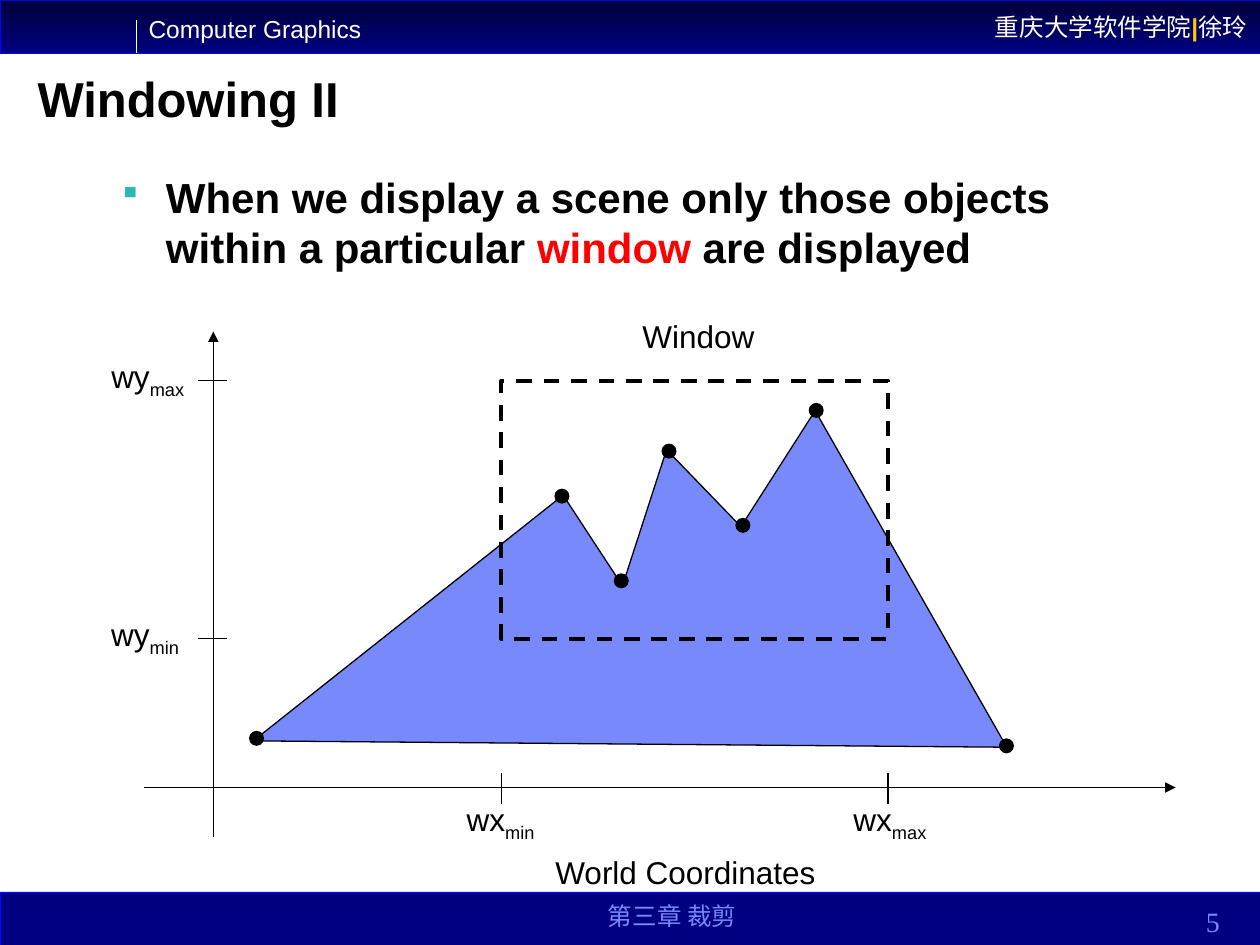
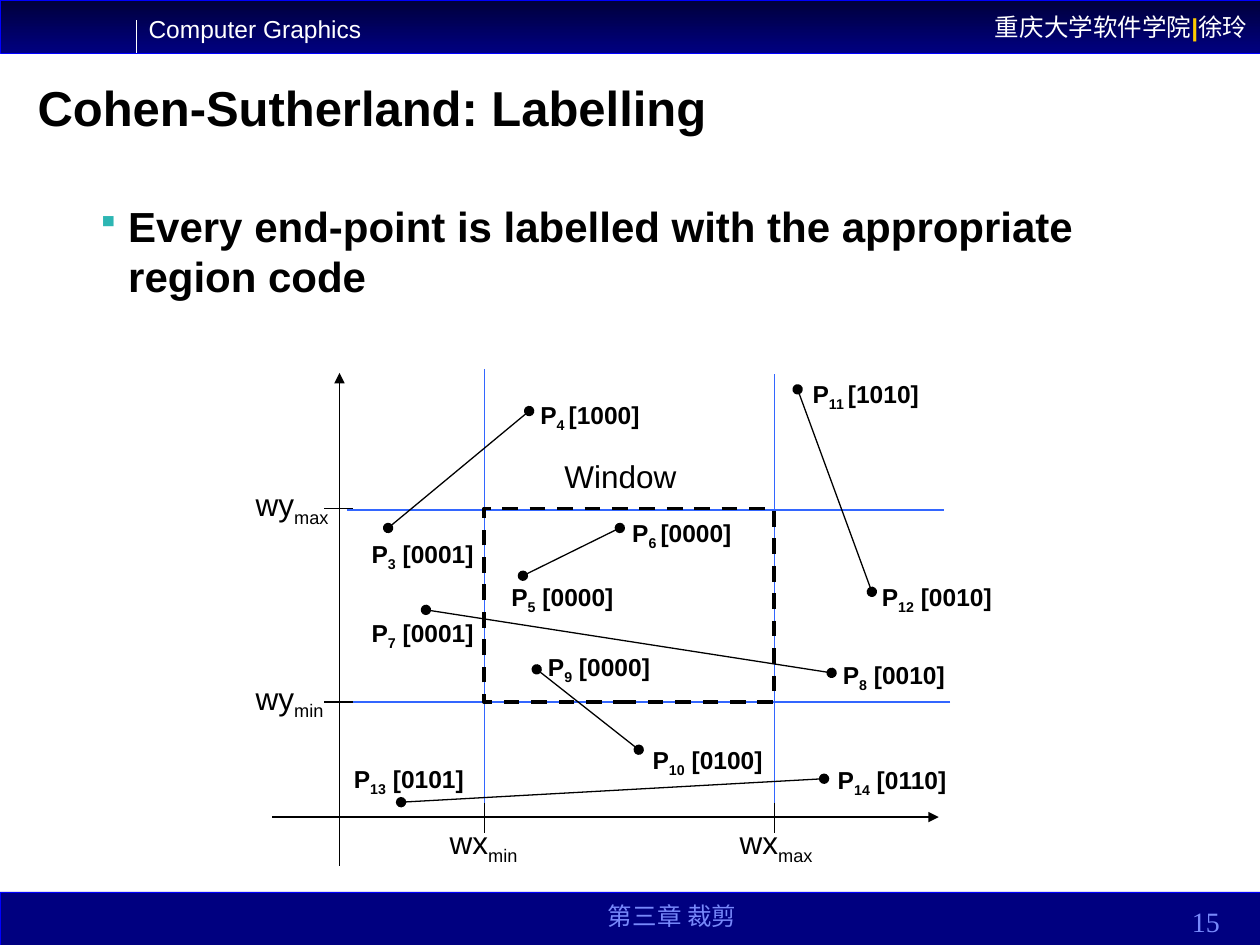
from lxml import etree
from pptx import Presentation
from pptx.dml.color import RGBColor
from pptx.enum.dml import MSO_LINE
from pptx.enum.shapes import MSO_CONNECTOR, MSO_SHAPE
from pptx.enum.text import MSO_ANCHOR, MSO_AUTO_SIZE, PP_ALIGN
from pptx.oxml.ns import qn
from pptx.util import Pt

RECTANGLE, OVAL = MSO_SHAPE.RECTANGLE, MSO_SHAPE.OVAL
STRAIGHT, DASH = MSO_CONNECTOR.STRAIGHT, MSO_LINE.DASH
LEFT, CENTER, RIGHT = PP_ALIGN.LEFT, PP_ALIGN.CENTER, PP_ALIGN.RIGHT
TOP, MIDDLE, BOTTOM = MSO_ANCHOR.TOP, MSO_ANCHOR.MIDDLE, MSO_ANCHOR.BOTTOM

SANS, SERIF = "Arial", "Times New Roman"
BLACK, WHITE, RED, YELLOW = "000000", "FFFFFF", "FF0000", "FFCC00"
NAVY, DARK_NAVY, BAND_EDGE = "000080", "00003B", "0000FF"
PERIWINKLE, GUIDE_BLUE, BULLET_TEAL = "7889FB", "3366FF", "2DB6B3"

SLIDE_WIDTH, SLIDE_HEIGHT, BAND_HEIGHT = 720, 540, 30.4
DOT_SIZE = 8.6

COURSE = "Computer Graphics"
AUTHOR = [("重庆大学软件学院", {}), ("|", {"color": YELLOW, "bold": True}), ("徐玲", {})]
CHAPTER = "第三章 裁剪"

WINDOWING = {
    "title": "Windowing II",
    "title_box": (14.4, 37.4, 649.4, 39.6),
    "body": [("When we display a scene only those objects within a particular ", {}),
             ("window", {"color": RED}), (" are displayed", {})],
    "body_box": (54, 94.3, 612, 72.7),
    "bullet_indent": (33.8, -27),
    "page": "5",
}
WINDOWING_AXES = {
    "x_axis": (82.1, 450, 671.8, 450),
    "y_axis": (121.9, 478.1, 121.9, 189.4),
    "window": (286.4, 217.6, 221, 147.4),
    "x_tick": (442, 459.4), "x_label_top": 453.6,
    "y_tick": (129.6, 113), "y_label_left": 56.5,
    "window_label": (360, 177.8),
}
# Each corner of the mountain, then the centre of its dot
MOUNTAIN = [
    ((144.7, 423.4), (146.6, 421.9)),
    ((321.8, 283), (321.1, 283.5)),
    ((355.7, 334.8), (355, 331.9)),
    ((380.9, 257), (382.3, 257.8)),
    ((423.4, 301), (424.5, 300.2)),
    ((465.8, 234.7), (466.4, 234.5)),
    ((575.3, 427), (575.1, 426.2)),
]

LABELLING = {
    "title": "Cohen-Sutherland: Labelling",
    "title_box": (14.4, 43.2, 649.4, 38.9),
    "body": [("Every end-point is labelled with the appropriate region code", {})],
    "body_box": (48.2, 110.9, 612, 79.2),
    "bullet_indent": (18, -19.5),
    "page": "15",
}
LABELLING_AXES = {
    "x_axis": (155.5, 466.9, 536.4, 466.9),
    "y_axis": (194, 494.6, 194, 213.1),
    "window": (276.7, 290.6, 165.7, 110.6),
    "x_tick": (458.6, 476), "x_label_top": 466.6,
    "y_tick": (201.6, 185), "y_label_left": 139,
    "window_label": (315.4, 257.8),
}
GUIDES = [(276.7, 211, 276.7, 460.8), (442.4, 213.8, 442.4, 463.7),
          (539.3, 291.4, 198, 291.4), (542.9, 401.2, 201.6, 401.2)]
# Each end-point: position, subscript, region code, label position
SEGMENTS = [
    (((298.8, 329), "5", " [0000]", (285.1, 329)),
     ((354.2, 301.7), "6 ", "[0000]", (354.2, 292.3))),
    (((221.8, 301.7), "3", " [0001]", (205.2, 304.6)),
     ((302.4, 234.9), "4 ", "[1000]", (301.7, 224.9))),
    (((306.7, 382.5), "9", " [0000]", (306, 368.9)),
     ((365, 428.4), "10", " [0100]", (365.8, 422.1))),
    (((243.4, 348.5), "7", " [0001]", (205.2, 349.5)),
     ((475.2, 384.5), "8", " [0010]", (474.5, 373.7))),
    (((498.2, 338.2), "12", " [0010]", (496.8, 329)),
     ((455.8, 222.5), "11 ", "[1010]", (457.2, 213.1))),
    (((229.2, 458.4), "13", " [0101]", (195.1, 433.2)),
     ((470.9, 445), "14", " [0110]", (471.6, 433.4))),
]


def rgb(color):
    return RGBColor.from_string(color)


def points(values):
    return [Pt(value) for value in values]


def fill_runs(paragraph, runs, size, font=SANS, color=WHITE, bold=False):
    """Add (text, overrides) runs; overrides may hold color, bold and subscript."""
    for text, style in runs:
        run = paragraph.add_run()
        run.text = text
        run.font.name = font
        run.font.size = Pt(size)
        run.font.bold = style.get("bold", bold)
        run.font.color.rgb = rgb(style.get("color", color))
        if style.get("subscript"):
            run.font._element.set("baseline", "-25000")


def add_text(slide, box, runs, size, align=LEFT, anchor=TOP, wrap=True, **style):
    """Add a one-paragraph text box and return the paragraph."""
    frame = slide.shapes.add_textbox(*points(box)).text_frame
    frame.word_wrap = wrap
    frame.auto_size = MSO_AUTO_SIZE.NONE if wrap else MSO_AUTO_SIZE.SHAPE_TO_FIT_TEXT
    frame.vertical_anchor = anchor
    paragraph = frame.paragraphs[0]
    paragraph.alignment = align
    fill_runs(paragraph, runs, size, **style)
    return paragraph


def add_label(slide, box, runs, size=18, bold=False):
    add_text(slide, box, runs, size, wrap=False, color=BLACK, bold=bold)


def add_figure(slide, kind, box, fill=None, line=None, width=0.75):
    shape = slide.shapes.add_shape(kind, *points(box))
    style_figure(shape, fill, line, width)
    return shape


def style_figure(shape, fill, line, width=0.75):
    shape.shadow.inherit = False
    if fill:
        shape.fill.solid()
        shape.fill.fore_color.rgb = rgb(fill)
    else:
        shape.fill.background()
    if line:
        shape.line.color.rgb = rgb(line)
        shape.line.width = Pt(width)
    else:
        shape.line.fill.background()


def add_line(slide, ends, color=BLACK, head=None, tail=None):
    connector = slide.shapes.add_connector(STRAIGHT, *points(ends))
    connector.line.color.rgb = rgb(color)
    connector.line.width = Pt(0.75)
    properties = connector._element.spPr
    etree.SubElement(properties, qn("a:effectLst"))
    for tag, kind in (("a:headEnd", head), ("a:tailEnd", tail)):
        if kind:
            etree.SubElement(properties.find(qn("a:ln")), qn(tag), type=kind)


def add_bands(slide, page):
    header = add_figure(slide, RECTANGLE, (0, 0, SLIDE_WIDTH, BAND_HEIGHT),
                        NAVY, BAND_EDGE, 0.25)
    header.fill.gradient()
    header.fill.gradient_angle = 270
    for stop, color in zip(header.fill.gradient_stops, (DARK_NAVY, NAVY)):
        stop.color.rgb = rgb(color)
    frame = header.text_frame
    frame.word_wrap = False
    frame.vertical_anchor = MIDDLE
    frame.paragraphs[0].alignment = RIGHT
    fill_runs(frame.paragraphs[0], AUTHOR, 14)

    add_figure(slide, RECTANGLE, (0, SLIDE_HEIGHT - BAND_HEIGHT, SLIDE_WIDTH, BAND_HEIGHT),
               NAVY, BAND_EDGE, 0.25)
    add_text(slide, (77.8, 4.3, 136, 24.5), [(COURSE, {})], 14, wrap=False)
    add_line(slide, (78, 11.5, 78, BAND_HEIGHT), WHITE)
    add_text(slide, (270, 508, 228.2, 27.4), [(CHAPTER, {})], 14, CENTER, BOTTOM,
             font=SERIF, color=PERIWINKLE)
    add_text(slide, (632.2, 512.3, 72, 27.4), [(page, {})], 16, RIGHT, BOTTOM,
             font=SERIF, color=PERIWINKLE)


def add_content_slide(presentation, content):
    slide = presentation.slides.add_slide(presentation.slide_layouts[6])
    add_bands(slide, content["page"])
    title = add_text(slide, content["title_box"], [(content["title"], {})], 28,
                     anchor=BOTTOM, color=BLACK, bold=True)
    title.line_spacing = 0.9

    body = add_text(slide, content["body_box"], content["body"], 24, color=BLACK, bold=True)
    properties = body._p.get_or_add_pPr()
    margin, indent = points(content["bullet_indent"])
    properties.set("marL", str(margin))
    properties.set("indent", str(indent))
    bullet_color = etree.SubElement(properties, qn("a:buClr"))
    etree.SubElement(bullet_color, qn("a:srgbClr"), val=BULLET_TEAL)
    etree.SubElement(properties, qn("a:buSzPct"), val="75000")
    etree.SubElement(properties, qn("a:buChar"), char="▪")
    return slide


def add_window_axes(slide, axes):
    """Draw both axes, the dashed clipping window, its ticks and the labels."""
    for name in ("x_axis", "y_axis"):
        add_line(slide, axes[name], tail="triangle")
    left, top, width, height = axes["window"]
    window = add_figure(slide, RECTANGLE, axes["window"], line=BLACK, width=2.25)
    window.line.dash_style = DASH

    limits = [("max", 56.2, left + width, top), ("min", 53.3, left, top + height)]
    for limit, label_width, x, y in limits:
        subscript = (limit, {"subscript": True})
        start, end = axes["y_tick"]
        add_line(slide, (start, y, end, y))
        add_label(slide, (axes["y_label_left"], y - 17, label_width, 31.7),
                  [("wy", {}), subscript])
        start, end = axes["x_tick"]
        add_line(slide, (x, start, x, end))
        add_label(slide, (x - 26.8, axes["x_label_top"], label_width, 31.7),
                  [("wx", {}), subscript])
    add_label(slide, (*axes["window_label"], 78.5, 28.8), [("Window", {})])


def add_mountain(slide):
    corners = [points(corner) for corner, _ in MOUNTAIN]
    builder = slide.shapes.build_freeform(*corners[0])
    builder.add_line_segments(corners[1:], close=True)
    style_figure(builder.convert_to_shape(), PERIWINKLE, BLACK)


def add_mountain_dots(slide):
    for _, (x, y) in MOUNTAIN:
        add_figure(slide, OVAL, (x - DOT_SIZE / 2, y - DOT_SIZE / 2, DOT_SIZE, DOT_SIZE), BLACK)


def add_segments(slide):
    for start, end in SEGMENTS:
        add_line(slide, (*start[0], *end[0]), head="oval", tail="oval")
        for _, number, code, position in (start, end):
            width = 79 if len(number.strip()) == 2 else 74
            add_label(slide, (*position, width, 26.6),
                      [("P", {}), (number, {"subscript": True}), (code, {})], 14, True)


def main():
    presentation = Presentation()
    presentation.slide_width = Pt(SLIDE_WIDTH)
    presentation.slide_height = Pt(SLIDE_HEIGHT)

    slide = add_content_slide(presentation, WINDOWING)
    add_mountain(slide)
    add_window_axes(slide, WINDOWING_AXES)
    add_mountain_dots(slide)
    add_label(slide, (310.3, 483.8, 163.4, 28.8), [("World Coordinates", {})])

    slide = add_content_slide(presentation, LABELLING)
    for guide in GUIDES:
        add_line(slide, guide, GUIDE_BLUE)
    add_window_axes(slide, LABELLING_AXES)
    add_segments(slide)

    presentation.save("out.pptx")


if __name__ == "__main__":
    main()
